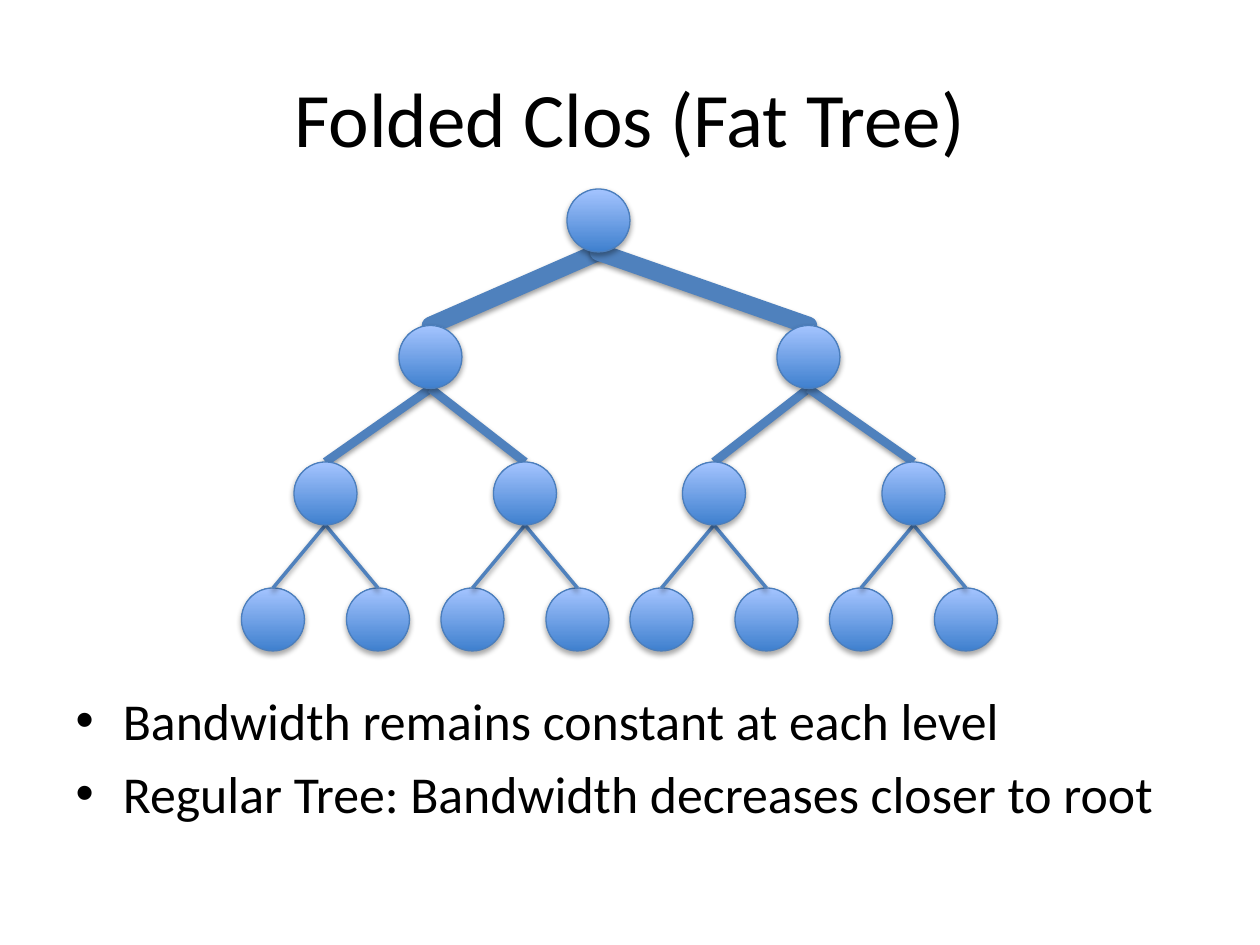
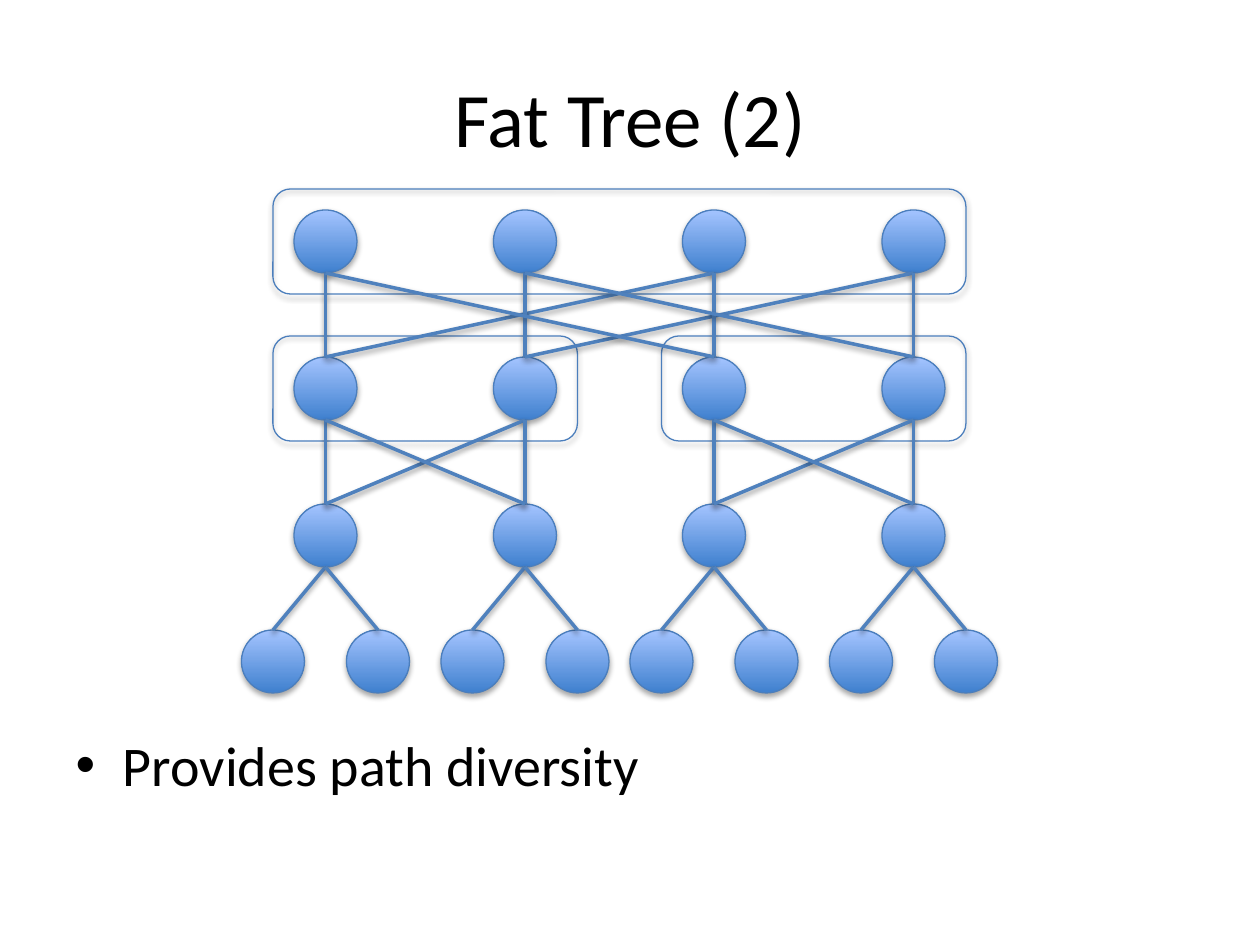
import pptx
import pptx.util
import pptx.dml.color
import pptx.enum.shapes
import pptx.enum.text
import pptx.oxml
import pptx.oxml.ns

COLS, ROWS = 120, 90
CELL = pptx.util.Inches(10) // COLS
NODE = 6
PAD = 2
HEAD = (6, 3.6, 108, 15)
INK, EDGE, LINK, DARK, LIGHT = "000000", "4B7EBC", "4F81BD", "3F80CE", "A4C4FF"
KIND = pptx.enum.shapes.MSO_SHAPE
MIDS = [5, 24, 42, 61]
LEAVES = [mid + side for mid in MIDS for side in (-5, 5)]


def tint(code):
    return pptx.dml.color.RGBColor.from_string(code)


def apply(item, form):
    for key, value in form.items():
        setattr(item, key, value)


def place(box, col, row, wide, high):
    return [round(part * CELL) for part in (box[0] + col, box[1] + row, wide, high)]


def shade(shape, dist, alpha):
    shape.element.spPr.append(pptx.oxml.parse_xml(
        f'<a:effectLst {pptx.oxml.ns.nsdecls("a")}>'
        f'<a:outerShdw blurRad="40000" dist="{dist}" dir="5400000" rotWithShape="0">'
        f'<a:srgbClr val="{INK}"><a:alpha val="{alpha}000"/></a:srgbClr>'
        '</a:outerShdw></a:effectLst>'))


def stroke(line, code, width):
    line.color.rgb = tint(code)
    line.width = pptx.util.Pt(width)


def node(slide, box, col, row):
    ball = slide.shapes.add_shape(KIND.OVAL, *place(box, col, row, NODE, NODE))
    ball.fill.gradient()
    ball.fill.gradient_angle = 90
    for stop, code, spot in zip(ball.fill.gradient_stops, (DARK, LIGHT), (0, 1)):
        stop.color.rgb = tint(code)
        stop.position = spot
    stroke(ball.line, EDGE, 0.75)
    shade(ball, 23000, 35)
    return ball


def tier(slide, box, cols, row):
    return [node(slide, box, col, row) for col in cols]


def frame(slide, box, first, last, row):
    spot = place(box, first - PAD, row - PAD, last - first + NODE + 2 * PAD, NODE + 2 * PAD)
    pane = slide.shapes.add_shape(KIND.ROUNDED_RECTANGLE, *spot)
    pane.fill.background()
    stroke(pane.line, EDGE, 0.75)
    shade(pane, 23000, 35)


def link(slide, low, high, width=2, cap="flat"):
    line = slide.shapes.add_connector(pptx.enum.shapes.MSO_CONNECTOR.STRAIGHT, 0, 0, 0, 0)
    line.begin_connect(low, 0)
    line.end_connect(high, 2)
    line.element.nvCxnSpPr.cNvCxnSpPr.endCxn.idx = 4
    stroke(line.line, LINK, width)
    line.element.spPr.ln.set("cap", cap)
    shade(line, 20000, 38)


def branch(slide, lows, highs, width=2, cap="flat"):
    for index, low in enumerate(lows):
        link(slide, low, highs[index // 2], width, cap)


def tree(slide, box):
    leaves, mids, pairs, root = [
        tier(slide, box, cols, row)
        for cols, row in ((LEAVES, 38), (MIDS, 26), ((15, 51), 13), ((31,), 0))]
    branch(slide, leaves, mids)
    branch(slide, mids, pairs, 5)
    branch(slide, pairs, root, 10, "rnd")
    for ball in root + pairs + mids:
        ball.element.getparent().append(ball.element)


def mesh(slide, box):
    leaves, mids, pods, cores = [
        tier(slide, box, cols, row)
        for cols, row in ((LEAVES, 42), (MIDS, 30), (MIDS, 16), (MIDS, 2))]
    branch(slide, leaves, mids)
    for first, last, row in ((0, 3, 2), (0, 1, 16), (2, 3, 16)):
        frame(slide, box, MIDS[first], MIDS[last], row)
    for index in range(len(MIDS)):
        for peer in (index, index ^ 1):
            link(slide, mids[index], pods[peer])
        for peer in (index, index ^ 2):
            link(slide, pods[index], cores[peer])


def write(holder, box, lines, size):
    spot = place(box, 0, 0, *box[2:])
    apply(holder, dict(zip(("left", "top", "width", "height"), spot)))
    frame = holder.text_frame
    frame.text = "\n".join(lines)
    apply(frame, {"word_wrap": True, "auto_size": pptx.enum.text.MSO_AUTO_SIZE.NONE})
    for para in frame.paragraphs:
        for run in para.runs:
            apply(run.font, {"name": "Calibri", "size": pptx.util.Pt(size)})
            run.font.color.rgb = tint(INK)


def page(deck, title, draw, area, lines, box, size):
    slide = deck.slides.add_slide(deck.slide_layouts[1])
    write(slide.shapes.title, HEAD, [title], 44)
    write(slide.placeholders[1], box, lines, size)
    draw(slide, area)


def main():
    deck = pptx.Presentation()
    apply(deck, {"slide_width": COLS * CELL, "slide_height": ROWS * CELL})
    page(deck, "Folded Clos (Fat Tree)", tree, (23, 18),
         ["Bandwidth remains constant at each level",
          "Regular Tree: Bandwidth decreases closer to root"],
         (6, 65, 108, 19), 29.6)
    page(deck, "Fat Tree (2)", mesh, (23, 18),
         ["Provides path diversity"], (6, 69, 108, 11.4), 32)
    deck.save("out.pptx")


if __name__ == "__main__":
    main()
